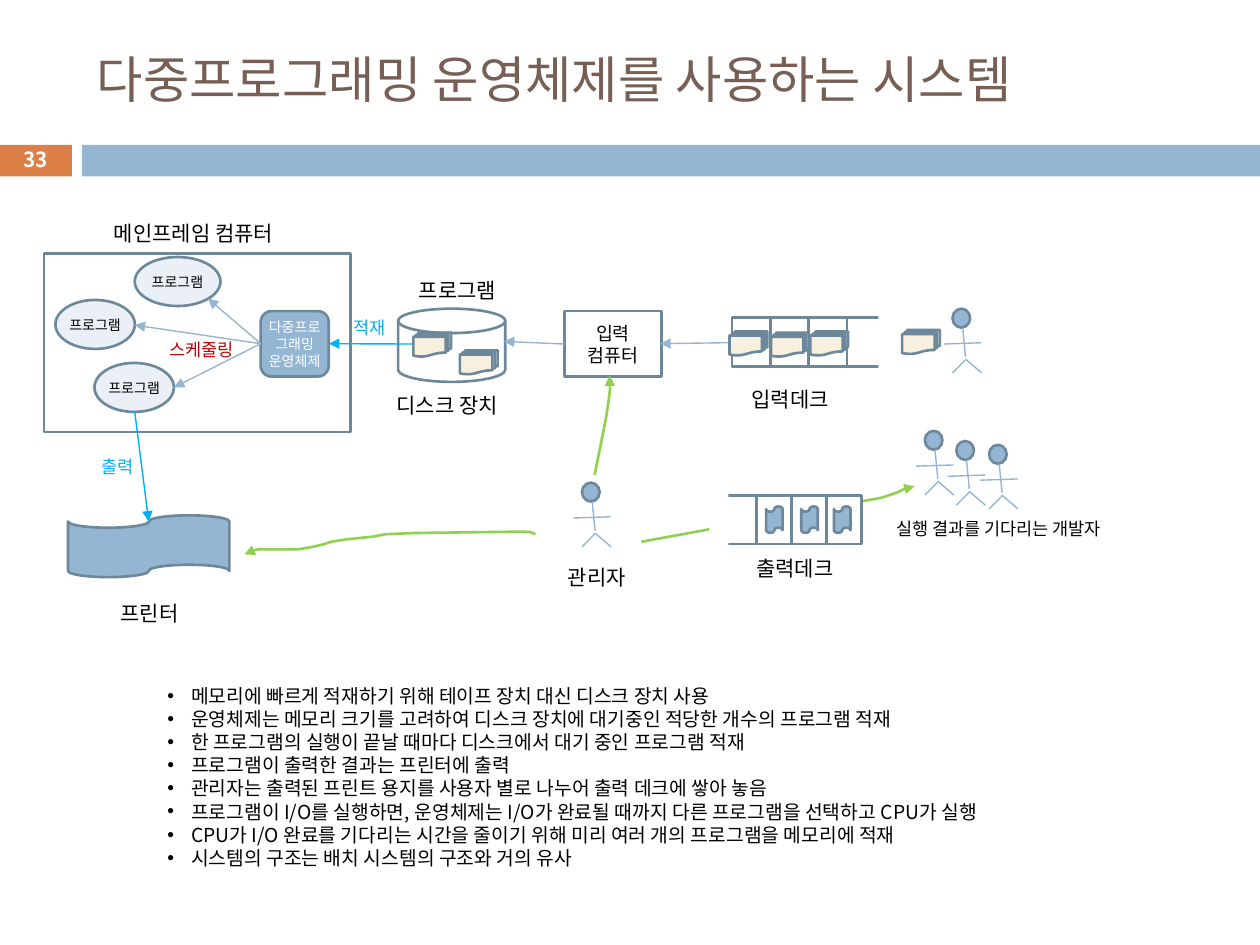
from lxml.etree import SubElement
from pptx import Presentation
from pptx.dml.color import RGBColor
from pptx.enum.shapes import MSO_CONNECTOR, MSO_SHAPE
from pptx.enum.text import MSO_ANCHOR, MSO_AUTO_SIZE, PP_ALIGN
from pptx.oxml.ns import qn
from pptx.util import Pt

FONT = "Noto Sans CJK KR"
HUES = {"blue": "94B6D2", "edge": "6D879B", "pale": "EAF0F6", "cream": "F7F0DE",
        "orange": "DD8047", "brown": "775F55", "cyan": "00B0F0", "green": "92D050",
        "red": "C00000", "black": "000000", "white": "FFFFFF"}
TITLE = "다중프로그래밍 운영체제를 사용하는 시스템"
BARS = [((-0.7, 82.8, 41.8, 18), "orange"), ((46.8, 82.8, 673.2, 18), "blue")]
LABELS = [
    ("메인프레임 컴퓨터", (52.6, 122.4, 115.9, 21.6), 12, "black"),
    ("디스크 장치", (216, 221, 79.2, 21.6), 12, "black"),
    ("입력데크", (419.8, 217.4, 63.4, 21.6), 12, "black"),
    ("실행 결과를 기다리는 개발자", (497.5, 292.3, 146.2, 19.4), 10, "black"),
    ("관리자", (315.4, 319, 51.1, 21.6), 12, "black"),
    ("프린터", (59.8, 339.8, 51.1, 21.6), 12, "black"),
    ("프로그램", (229.7, 154.8, 63.4, 21.6), 12, "black"),
    ("출력데크", (422.6, 313.9, 63.4, 21.6), 12, "black"),
    ("적재", (193.7, 177.8, 34.6, 19.4), 10, "cyan"),
    ("출력", (49.7, 257, 34.6, 19.4), 10, "cyan"),
    ("스케줄링", (87.8, 190.1, 54.7, 19.4), 10, "red")]
JOBS = [(54, 207.4, 45.4, 28), (77, 146.9, 49, 28), (31.7, 171.4, 45.4, 28)]
ARROWS = [
    ((322.6, 196.6), (288, 195.1), "blue"), ((236.2, 196.6), (188, 196.4), "cyan"),
    ((418.3, 195.8), (377.3, 196.4), "blue"), ((77, 235.4), (85, 298), "cyan"),
    ((149, 196.4), (99.4, 221.4), "blue"), ((149, 196.4), (118.8, 170.6), "blue"),
    ((149, 196.4), (77, 185.8), "blue")]
ROUTES = [
    [(339.8, 271.4), (346.3, 239), (347.8, 229), (348.5, 223.2), (348.5, 214.6)],
    [(306, 305.3), (303, 304), (297.4, 303.8), (236.9, 304.6), (220.3, 305.3),
     (213, 306.7), (198, 308.2), (189.4, 309.6), (185, 311), (178.6, 312.5),
     (170.6, 313.9), (147.6, 313.9), (141.1, 315.4), (139.7, 316.8)],
    [(366.5, 309.6), (504, 284.4), (512.6, 281.5), (517, 279.4), (522.7, 277.9)]]
DECKS = [((418.3, 181.4, 21.9, 28), (502, 178, 12, 39)),
         ((412.6, 283, 19.9, 28), (405.4, 279.4, 10.8, 38.9))]
CARDS = [(416.9, 189.4), (515.5, 188.6), (440.6, 190.1), (463, 189.4),
         (236.2, 190.1), (262.8, 200.2)]
SHEETS = [437.8, 457.9, 476.6]
PEOPLE = [(544.3, 176.4), (528.5, 246.2), (546.5, 252), (565.2, 254.2), (332.6, 275.8)]
LIMBS = [((-5, 20.2), (16.4, 19.5)), ((5.8, 10.8), (7.4, 27.4)),
         ((7.8, 28.8), (0, 36.7)), ((7.4, 28.8), (16.6, 36.7))]
NOTES = [
    "메모리에 빠르게 적재하기 위해 테이프 장치 대신 디스크 장치 사용",
    "운영체제는 메모리 크기를 고려하여 디스크 장치에 대기중인 적당한 개수의 프로그램 적재",
    "한 프로그램의 실행이 끝날 때마다 디스크에서 대기 중인 프로그램 적재",
    "프로그램이 출력한 결과는 프린터에 출력",
    "관리자는 출력된 프린트 용지를 사용자 별로 나누어 출력 데크에 쌓아 놓음",
    "프로그램이 I/O를 실행하면, 운영체제는 I/O가 완료될 때까지 다른 프로그램을 선택하고 CPU가 실행",
    "CPU가 I/O 완료를 기다리는 시간을 줄이기 위해 미리 여러 개의 프로그램을 메모리에 적재",
    "시스템의 구조는 배치 시스템의 구조와 거의 유사"]

deck = Presentation()
deck.slide_width, deck.slide_height = Pt(720), Pt(540)
slide = deck.slides.add_slide(deck.slide_layouts[5])
shapes = slide.shapes


def tint(name):
    """Give the colour of that name."""
    return RGBColor.from_string(HUES[name])


def pts(nums):
    """Turn numbers into point lengths."""
    return [Pt(num) for num in nums]


def write(frame, lines, size=12, hue="black", bold=False, align=PP_ALIGN.CENTER,
          anchor=MSO_ANCHOR.MIDDLE, wrap=True, inset=None, bullet=False):
    """Fill a text frame, one paragraph a line."""
    frame.word_wrap, frame.vertical_anchor = wrap, anchor
    frame.auto_size = MSO_AUTO_SIZE.NONE
    if inset is not None:
        frame.margin_left = frame.margin_right = Pt(inset)
        frame.margin_top = frame.margin_bottom = Pt(inset)
    for i, line in enumerate(lines):
        para = frame.add_paragraph() if i else frame.paragraphs[0]
        para.alignment, para.line_spacing = align, Pt(round(size * 1.2, 2))
        if bullet:
            props = para._p.get_or_add_pPr()
            props.set("marL", str(Pt(13.5)))
            props.set("indent", str(-Pt(13.5)))
            SubElement(props, qn("a:buFont")).set("typeface", "Arial")
            SubElement(props, qn("a:buChar")).set("char", "•")
        run = para.add_run()
        run.text = line
        font = run.font
        font.size, font.bold, font.name = Pt(size), bold, FONT
        font.color.rgb = tint(hue)
        SubElement(run._r.get_or_add_rPr(), qn("a:ea")).set("typeface", FONT)


def label(lines, box, **style):
    """Add a text box."""
    write(shapes.add_textbox(*pts(box)).text_frame, lines, **style)


def paint(shape, fill=None, line="edge", width=1.5):
    """Set fill and line, and drop the shadow."""
    shape.shadow.inherit = False
    if fill:
        shape.fill.solid()
        shape.fill.fore_color.rgb = tint(fill)
    else:
        shape.fill.background()
    if line:
        shape.line.color.rgb, shape.line.width = tint(line), Pt(width)
    else:
        shape.line.fill.background()
    return shape


def draw(kind, box, fill=None, line="edge"):
    """Add a preset shape."""
    return paint(shapes.add_shape(kind, *pts(box)), fill, line)


def point(shape):
    """Put an arrowhead at the end of a line."""
    SubElement(shape.line._get_or_add_ln(), qn("a:tailEnd")).set("type", "triangle")


def link(start, end, hue="blue", head=False):
    """Add a straight line."""
    line = shapes.add_connector(MSO_CONNECTOR.STRAIGHT, *pts(start + end))
    line.line.color.rgb, line.line.width = tint(hue), Pt(0.79)
    if head:
        point(line)
    SubElement(line._element.spPr, qn("a:effectLst"))


def main():
    """Build the slide and save it."""
    for box, hue in BARS:
        draw(MSO_SHAPE.RECTANGLE, box, hue, None)
    title = shapes.title
    title.left, title.top, title.width, title.height = pts((48.2, 18, 642.2, 53.3))
    write(title.text_frame, [TITLE], size=28.8, hue="brown", align=PP_ALIGN.LEFT)
    label(["33"], (-0.7, 81.4, 41.8, 19.4), size=11.9, hue="white", bold=True)

    draw(MSO_SHAPE.RECTANGLE, (25.2, 144.7, 175, 102.2))
    system = draw(MSO_SHAPE.ROUNDED_RECTANGLE, (149, 177.8, 38.9, 37.4), "blue")
    write(system.text_frame, ["다중프로그래밍 운영체제"], size=8, hue="white", inset=0)
    for box in JOBS:
        job = draw(MSO_SHAPE.OVAL, box, "pale")
        write(job.text_frame, ["프로그램"], size=8, inset=0)
    entry = draw(MSO_SHAPE.RECTANGLE, (322.6, 177.8, 55.4, 37.4))
    write(entry.text_frame, ["입력", "컴퓨터"], size=10.5)
    draw(MSO_SHAPE.FLOWCHART_PUNCHED_TAPE, (38.9, 294.5, 92.2, 35.3), "blue")
    draw(MSO_SHAPE.FLOWCHART_MAGNETIC_DISK, (227.5, 176.4, 61.2, 41.8))

    for start, end, hue in ARROWS:
        link(start, end, hue, head=True)
    for route in ROUTES:
        dots = [pts(dot) for dot in route]
        pen = shapes.build_freeform(*dots[0])
        pen.add_line_segments(dots[1:], close=False)
        point(paint(pen.convert_to_shape(), line="green"))

    for (left, top, wide, high), cover in DECKS:
        for i in range(4):
            draw(MSO_SHAPE.RECTANGLE, (left + i * wide, top, wide, high), "white")
        draw(MSO_SHAPE.RECTANGLE, cover, "white", None)
    for spot in CARDS:
        draw(MSO_SHAPE.FLOWCHART_MULTIDOCUMENT, spot + (21.6, 13.7), "cream")
    for left in SHEETS:
        draw(MSO_SHAPE.FLOWCHART_PUNCHED_TAPE, (left, 289.4, 9.4, 15.1), "blue")
    for x, y in PEOPLE:
        draw(MSO_SHAPE.OVAL, (x, y, 10.1, 10.8), "blue")
        for (a, b), (c, d) in LIMBS:
            link((x + a, y + b), (x + c, y + d))

    for text, box, size, hue in LABELS:
        label([text], box, size=size, hue=hue, wrap=False, anchor=MSO_ANCHOR.TOP)
    label(NOTES, (88.6, 387.4, 540, 113.8), size=11, align=PP_ALIGN.LEFT,
          anchor=MSO_ANCHOR.TOP, bullet=True)
    deck.save("out.pptx")


if __name__ == "__main__":
    main()
